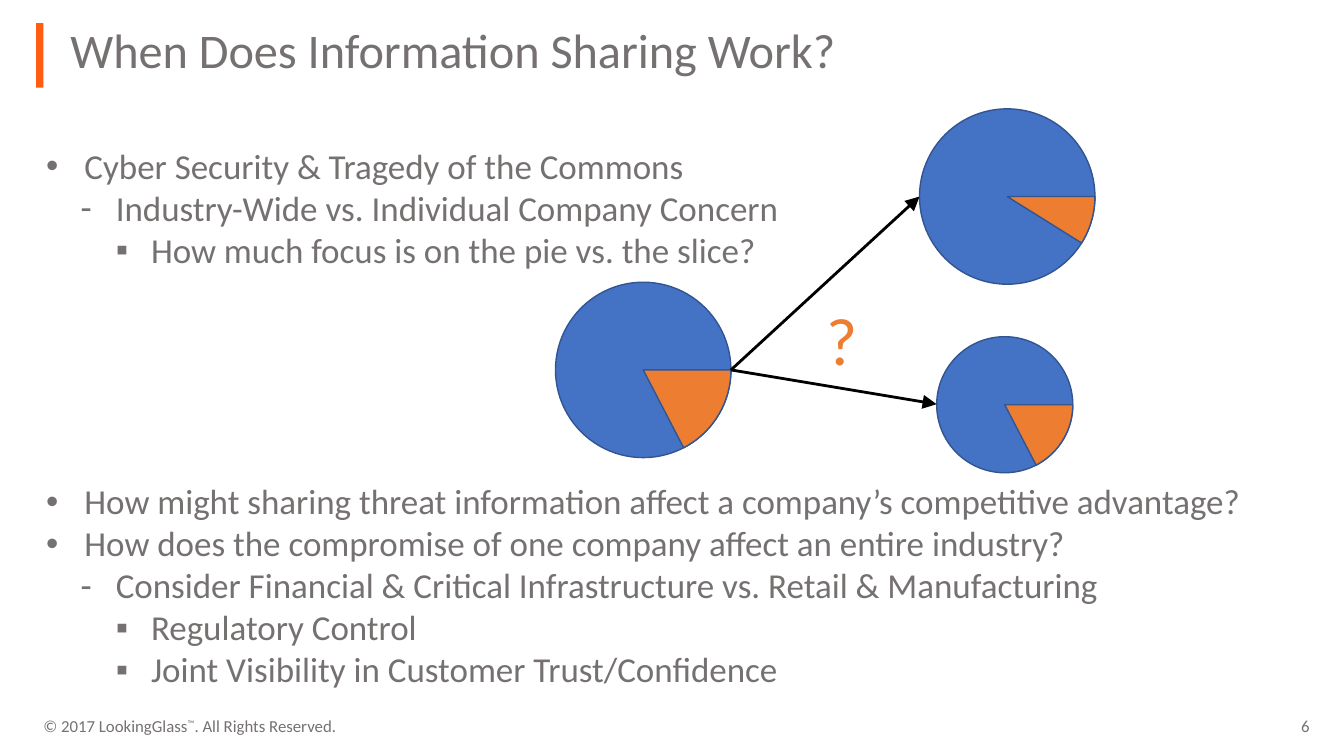
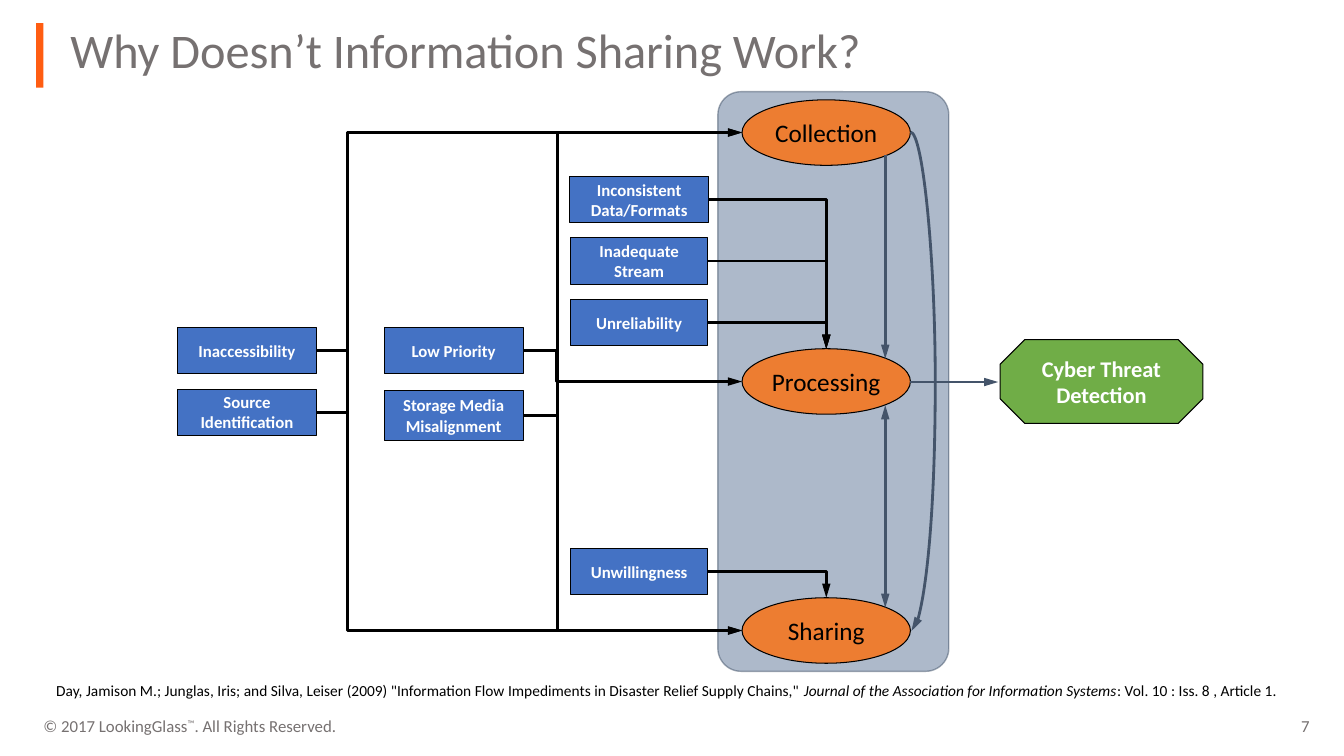
"""Build two slides on when information sharing works and why it fails."""
from dataclasses import dataclass
from typing import NamedTuple

from lxml import etree
from pptx import Presentation
from pptx.dml.color import RGBColor
from pptx.enum.shapes import MSO_CONNECTOR, MSO_SHAPE
from pptx.enum.text import MSO_ANCHOR, PP_ALIGN
from pptx.oxml.ns import qn
from pptx.shapes.autoshape import Shape
from pptx.shapes.connector import Connector
from pptx.slide import Slide
from pptx.util import Emu, Pt

RECT = MSO_SHAPE.RECTANGLE
ROUND = MSO_SHAPE.ROUNDED_RECTANGLE
OVAL = MSO_SHAPE.OVAL
PIE = MSO_SHAPE.PIE
OCTAGON = MSO_SHAPE.OCTAGON
LINE = MSO_CONNECTOR.STRAIGHT
ELBOW = MSO_CONNECTOR.ELBOW
CURVE = MSO_CONNECTOR.CURVE
LEFT, CENTER, RIGHT = PP_ALIGN.LEFT, PP_ALIGN.CENTER, PP_ALIGN.RIGHT
TOP, MIDDLE = MSO_ANCHOR.TOP, MSO_ANCHOR.MIDDLE

BLACK = RGBColor(0x00, 0x00, 0x00)
WHITE = RGBColor(0xFF, 0xFF, 0xFF)
GREY = RGBColor(0x76, 0x71, 0x71)
FLAME = RGBColor(0xFF, 0x5D, 0x12)
BLUE = RGBColor(0x44, 0x72, 0xC4)
NAVY = RGBColor(0x32, 0x54, 0x91)
ORANGE = RGBColor(0xED, 0x7D, 0x31)
GREEN = RGBColor(0x70, 0xAD, 0x47)
MIST = RGBColor(0xAD, 0xB9, 0xCA)
SLATE = RGBColor(0x44, 0x54, 0x6A)

PX = 9144
FONT = "Calibri"


class Box(NamedTuple):
    """Place and size in px."""
    x: int
    y: int
    w: int
    h: int


class Run(NamedTuple):
    """Text with its own font values."""
    text: str
    look: dict = {}
    base: int = 0


@dataclass
class Style:
    """Look of one text frame."""
    size: float
    color: RGBColor = GREY
    bold: bool = False
    align: PP_ALIGN = LEFT
    anchor: MSO_ANCHOR = TOP
    wrap: bool = True
    inset: int | None = None
    lead: float | None = None
    after: float = 0


class Item(NamedTuple):
    """Bullet line with its level."""
    level: int
    text: str


class Mark(NamedTuple):
    """Bullet sign, indent and hang in px."""
    sign: str
    left: int
    hang: int


class Wheel(NamedTuple):
    """Pie with the end of its slice."""
    x: int
    y: int
    size: int
    slice: float


class Link(NamedTuple):
    """Elbow from a box to an oval, with its bend if it has two."""
    start: str
    end: str
    bend: int = 0


TITLE = Style(34.5, lead=0.9)
BODY = Style(25, lead=0.9, after=3)
FOOT = Style(12, wrap=False, inset=3)
PAGE = Style(12, wrap=False, inset=3, align=RIGHT)
ASK = Style(48, ORANGE)
CITE = Style(11, BLACK, wrap=False)
STAGE = Style(18, BLACK, align=CENTER, anchor=MIDDLE, wrap=False)
CAUSE = Style(12, WHITE, bold=True, align=CENTER, anchor=MIDDLE, wrap=False)
GOAL = Style(16, WHITE, bold=True, align=CENTER, anchor=MIDDLE, wrap=False)

MARKS = [Mark("•", 38, 38), Mark("-", 69, 35), Mark("▪", 104, 35)]
UPPER = [
    Item(0, "Cyber Security & Tragedy of the Commons"),
    Item(1, "Industry-Wide vs. Individual Company Concern"),
    Item(2, "How much focus is on the pie vs. the slice?"),
]
LOWER = [
    Item(0, "How might sharing threat information affect a company’s competitive advantage?"),
    Item(0, "How does the compromise of one company affect an entire industry?"),
    Item(1, "Consider Financial & Critical Infrastructure vs. Retail & Manufacturing"),
    Item(2, "Regulatory Control"),
    Item(2, "Joint Visibility in Customer Trust/Confidence"),
]
WHEELS = [Wheel(551, 280, 174, 37.536), Wheel(912, 108, 174, 19.215),
          Wheel(929, 334, 135, 37.536)]
STAGES = ["Collection", "Processing", "Sharing"]
CAUSES = {
    "Source\nIdentification": Box(176, 386, 138, 46),
    "Inaccessibility": Box(176, 325, 138, 46),
    "Inadequate\nStream": Box(566, 236, 136, 46),
    "Inconsistent\nData/Formats": Box(565, 175, 138, 46),
    "Unreliability": Box(566, 297, 136, 46),
    "Unwillingness": Box(566, 544, 136, 46),
    "Low Priority": Box(381, 325, 138, 46),
    "Storage Media\nMisalignment": Box(381, 387, 138, 50),
}
LINKS = [
    Link("Low Priority", "Sharing", 553),
    Link("Storage Media\nMisalignment", "Collection", 553),
    Link("Low Priority", "Processing", 552),
    Link("Inaccessibility", "Sharing", 345),
    Link("Source\nIdentification", "Collection", 345),
    Link("Unwillingness", "Sharing"),
    Link("Inconsistent\nData/Formats", "Processing"),
    Link("Inadequate\nStream", "Processing"),
    Link("Unreliability", "Processing"),
]


def px(*values: int) -> list[Emu]:
    """Turn px into EMU."""
    return [Emu(value * PX) for value in values]


def write(shape: Shape, paras: list[list[Run]], style: Style) -> None:
    """Fill a shape with styled text."""
    frame = shape.text_frame
    values = {"word_wrap": style.wrap, "vertical_anchor": style.anchor}
    if style.inset is not None:
        for side in ("left", "top", "right", "bottom"):
            values[f"margin_{side}"] = Emu(style.inset * PX)
    for key, value in values.items():
        setattr(frame, key, value)
    for i, runs in enumerate(paras):
        para = frame.paragraphs[0] if i == 0 else frame.add_paragraph()
        form = {"alignment": style.align, "line_spacing": style.lead,
                "space_after": Pt(style.after)}
        for key, value in form.items():
            setattr(para, key, value)
        for part in runs:
            run = para.add_run()
            run.text = part.text
            look = {"name": FONT, "size": Pt(style.size), "bold": style.bold}
            for key, value in (look | part.look).items():
                setattr(run.font, key, value)
            run.font.color.rgb = style.color
            if part.base:
                run._r.get_or_add_rPr().set("baseline", str(part.base * 1000))


def label(slide: Slide, box: Box, paras: list[list[Run]], style: Style) -> Shape:
    """Add a text box."""
    shape = slide.shapes.add_textbox(*px(*box))
    write(shape, paras, style)
    return shape


def draw(slide: Slide, kind: MSO_SHAPE, box: Box, fill: RGBColor,
         line: RGBColor | None = None, width: float = 0.75) -> Shape:
    """Add a flat preset shape."""
    shape = slide.shapes.add_shape(kind, *px(*box))
    shape.shadow.inherit = False
    shape.fill.solid()
    shape.fill.fore_color.rgb = fill
    if line is None:
        shape.line.fill.background()
    else:
        shape.line.color.rgb = line
        shape.line.width = Pt(width)
    return shape


def block(slide: Slide, kind: MSO_SHAPE, box: Box, fill: RGBColor,
          text: str, style: Style) -> Shape:
    """Add a black-edged shape with centred lines."""
    shape = draw(slide, kind, box, fill, BLACK)
    write(shape, [[Run(row)] for row in text.split("\n")], style)
    return shape


def arrow(slide: Slide, kind: MSO_CONNECTOR, ends: list[Emu], color: RGBColor,
          heads: tuple[str, ...] = ("tailEnd",), girth: str = "med") -> Connector:
    """Add a connector with long arrowheads."""
    link = slide.shapes.add_connector(kind, *ends)
    link.line.color.rgb = color
    link.line.width = Pt(2)
    edge = link.line._get_or_add_ln()
    for head in heads:
        etree.SubElement(edge, qn(f"a:{head}"), type="triangle", w=girth, len="lg")
    etree.SubElement(link._element.spPr, qn("a:effectLst"))
    return link


def bend(link: Connector, x: int) -> None:
    """Set where a connector turns."""
    ratio = (x * PX - link.begin_x) / (link.end_x - link.begin_x)
    shape = link._element.spPr.find(qn("a:prstGeom"))
    guides = shape.find(qn("a:avLst"))
    etree.SubElement(guides, qn("a:gd"), name="adj1", fmla=f"val {round(ratio * 100000)}")


def join(slide: Slide, box: Shape, oval: Shape, turn: int) -> None:
    """Lead from the right of a box to the left or top of an oval."""
    start = [box.left + box.width, box.top + box.height // 2]
    if turn:
        end = [oval.left, oval.top + oval.height // 2]
    else:
        end = [oval.left + oval.width // 2, oval.top]
    link = arrow(slide, ELBOW, start + end, BLACK)
    link.begin_connect(box, 3)
    link.end_connect(oval, 2 if turn else 0)
    link.end_x, link.end_y = end
    if turn:
        bend(link, turn)
    else:
        link._element.spPr.find(qn("a:prstGeom")).set("prst", "bentConnector2")


def bullets(slide: Slide, box: Box, items: list[Item]) -> None:
    """Add a bullet list."""
    shape = label(slide, box, [[Run(item.text)] for item in items], BODY)
    for para, item in zip(shape.text_frame.paragraphs, items):
        mark = MARKS[item.level]
        para.level = item.level
        props = para._p.get_or_add_pPr()
        props.set("marL", str(mark.left * PX))
        props.set("indent", str(-mark.hang * PX))
        etree.SubElement(props, qn("a:buFont"), typeface="Arial")
        etree.SubElement(props, qn("a:buChar"), char=mark.sign)


def start(deck: Presentation, title: str, number: int) -> Slide:
    """Add a slide with bar, title and footer."""
    slide = deck.slides.add_slide(deck.slide_layouts[6])
    draw(slide, RECT, Box(36, 23, 7, 64), FLAME)
    rights = [Run("© 2017 LookingGlass"), Run("™", base=30), Run(". All Rights Reserved.")]
    label(slide, Box(40, 707, 400, 24), [rights], FOOT)
    label(slide, Box(1122, 707, 180, 24), [[Run(str(number))]], PAGE)
    label(slide, Box(60, 22, 1249, 69), [[Run(title)]], TITLE)
    return slide


def pies(deck: Presentation) -> None:
    """Build the slide on pies and slices."""
    slide = start(deck, "When Does Information Sharing Work?", 6)
    bullets(slide, Box(36, 143, 1264, 135), UPPER)
    bullets(slide, Box(36, 476, 1264, 227), LOWER)
    for x, y, size, cut in WHEELS:
        box = Box(x, y, size, size)
        draw(slide, OVAL, box, BLUE, NAVY, 1)
        wedge = draw(slide, PIE, box, ORANGE, NAVY, 1)
        wedge.adjustments[0], wedge.adjustments[1] = 0, cut
    for end in ((912, 195), (929, 401)):
        arrow(slide, LINE, px(725, 367, *end), BLACK, girth="lg")
    label(slide, Box(810, 291, 66, 91), [[Run("?")]], ASK)


def flow(deck: Presentation) -> None:
    """Build the slide on what blocks the flow."""
    slide = start(deck, "Why Doesn’t Information Sharing Work?", 7)
    panel = draw(slide, ROUND, Box(712, 91, 229, 575), MIST, SLATE, 1)
    panel.adjustments[0] = 0.1
    tint = panel.line._get_or_add_ln().find(".//" + qn("a:srgbClr"))
    etree.SubElement(tint, qn("a:alpha"), val="50000")
    nodes = {}
    for i, name in enumerate(STAGES):
        nodes[name] = block(slide, OVAL, Box(736, 99 + 247 * i, 167, 65), ORANGE, name, STAGE)
    for name, box in CAUSES.items():
        nodes[name] = block(slide, RECT, box, BLUE, name, CAUSE)
    block(slide, OCTAGON, Box(992, 337, 201, 83), GREEN, "Cyber Threat\nDetection", GOAL)
    arrow(slide, LINE, px(903, 379, 990, 379), SLATE)
    for link in LINKS:
        join(slide, nodes[link.start], nodes[link.end], link.bend)
    cite = [
        Run('Day, Jamison M.; Junglas, Iris; and Silva, Leiser (2009) "Information Flow '
            'Impediments in Disaster Relief Supply Chains," '),
        Run("Journal of the Association for Information Systems", {"italic": True}),
        Run(": Vol. 10 : Iss. 8 , Article 1."),
    ]
    label(slide, Box(46, 671, 1244, 29), [cite], CITE)
    arrow(slide, LINE, px(878, 154, 878, 356), SLATE)
    arrow(slide, LINE, px(878, 603, 878, 402), SLATE, ("headEnd", "tailEnd"))
    bend(arrow(slide, CURVE, px(903, 131, 904, 626), SLATE), 928)


def main() -> None:
    """Save the deck."""
    deck = Presentation()
    deck.slide_width, deck.slide_height = px(1333, 750)
    pies(deck)
    flow(deck)
    deck.save("out.pptx")


if __name__ == "__main__":
    main()
